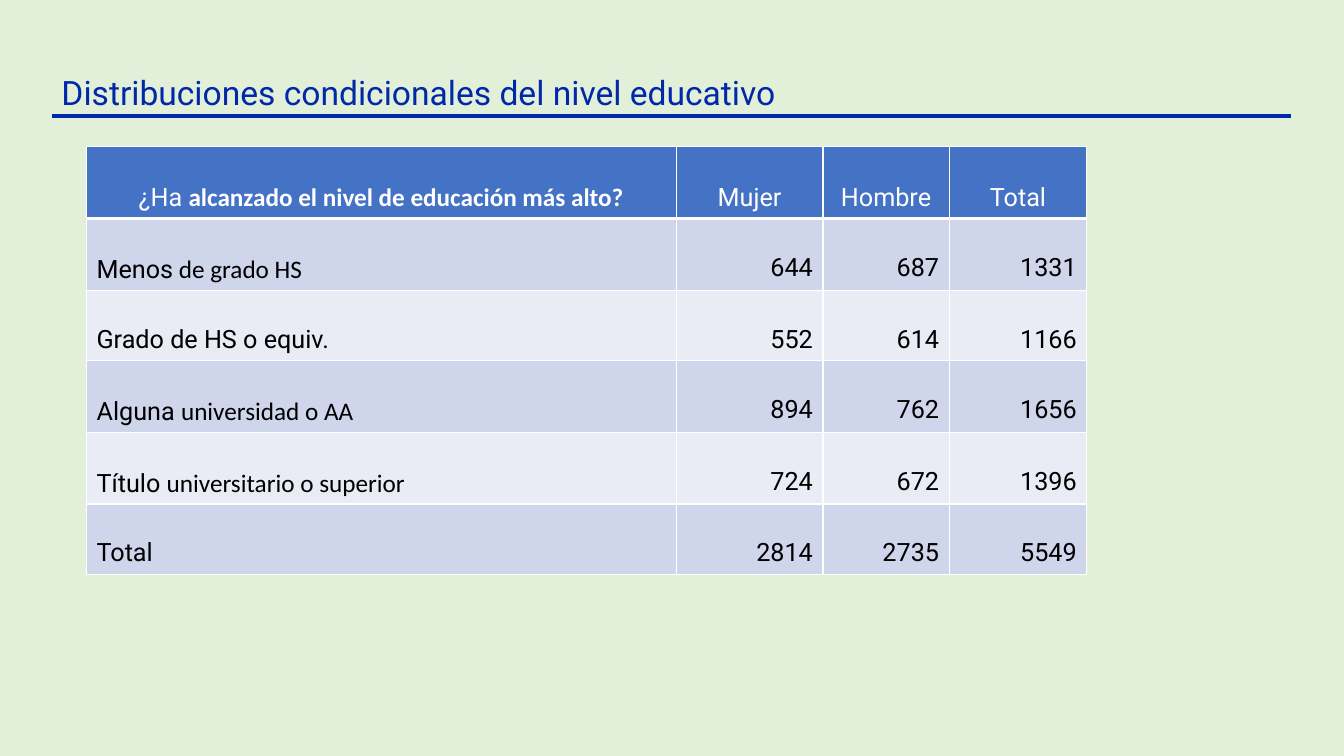
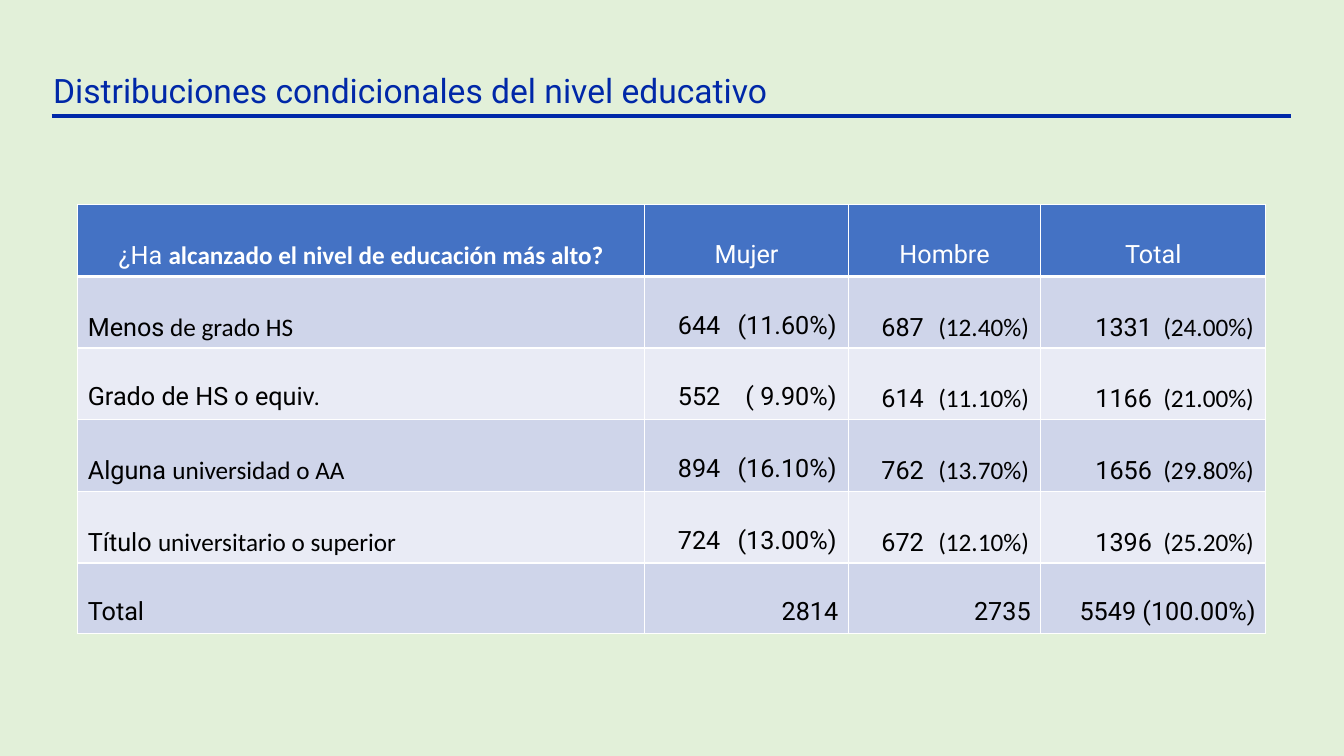
"""Build two slides that compare education levels for women and men."""
from lxml import etree
from pptx import Presentation
from pptx.dml.color import RGBColor
from pptx.enum.shapes import MSO_CONNECTOR
from pptx.enum.text import MSO_ANCHOR, MSO_AUTO_SIZE, PP_ALIGN
from pptx.oxml.ns import qn
from pptx.util import Cm, Pt

LINE = MSO_CONNECTOR.STRAIGHT
MIDDLE, TOP = MSO_ANCHOR.MIDDLE, MSO_ANCHOR.TOP
GROW = MSO_AUTO_SIZE.SHAPE_TO_FIT_TEXT
LEFT, CENTER, RIGHT = PP_ALIGN.LEFT, PP_ALIGN.CENTER, PP_ALIGN.RIGHT

PAGE, NAVY, BLUE = "E2F0D9", "0028A8", "4472C4"
BANDS = ["E9EBF5", "CFD5EA"]
WHITE, BLACK = "FFFFFF", "000000"
MAIN, ALT = "Roboto", "Calibri"
ROW = 1.78
INSET = 0.55
STOPS = [0, 1.65, 1.65, 2.55]

TITLE = "Distribuciones condicionales del nivel educativo"
# A bar marks where a cell changes to the second font.
HEAD = ["¿Ha |alcanzado el nivel de educación más alto?",
        "Mujer", "Hombre", "Total"]
COUNTS = [
    ["Menos| de grado HS", "644", "687", "1331"],
    ["Grado de HS o equiv.", "552", "614", "1166"],
    ["Alguna |universidad o AA", "894", "762", "1656"],
    ["Título |universitario o superior", "724", "672", "1396"],
    ["Total", "2814", "2735", "5549"],
]
SHARES = [
    ["(11.60%)", "|(12.40%)", "|(24.00%)"],
    ["( 9.90%)", "|(11.10%)", "|(21.00%)"],
    ["(16.10%)", "|(13.70%)", "|(29.80%)"],
    ["(13.00%)", "|(12.10%)", "|(25.20%)"],
]


def color(code):
    """Turn a hex string into a colour."""
    return RGBColor.from_string(code)


def style(run, font, size, code, bold=False):
    """Format one run."""
    run.font.name, run.font.size, run.font.bold = font, Pt(size), bold
    run.font.color.rgb = color(code)


def add_title(slide, left, top):
    """Add the title and the rule below it."""
    box = slide.shapes.add_textbox(Cm(left), Cm(top), Cm(20.8), Cm(1.27))
    frame = box.text_frame
    frame.word_wrap, frame.auto_size = True, GROW
    frame.text = TITLE
    style(frame.paragraphs[0].runs[0], MAIN, 24, NAVY)
    rule = slide.shapes.add_connector(
        LINE, Cm(1.3), Cm(2.92), Cm(32.54), Cm(2.92))
    rule.line.color.rgb, rule.line.width = color(NAVY), Pt(3)
    etree.SubElement(rule._element.spPr, qn("a:effectLst"))


def add_edges(cell, row):
    """Draw white cell borders, thick between header and body."""
    props = cell._tc.get_or_add_tcPr()
    thick = {"T": row == 1, "B": row == 0}
    for side in "LRTB":
        width = Pt(3 if thick.get(side) else 1)
        edge = etree.SubElement(props, qn(f"a:ln{side}"), w=str(width))
        fill = etree.SubElement(edge, qn("a:solidFill"))
        etree.SubElement(fill, qn("a:srgbClr"), val=WHITE)


def add_tabs(para, stops):
    """Give a paragraph right-aligned tab stops."""
    tabs = etree.SubElement(para._p.get_or_add_pPr(), qn("a:tabLst"))
    for stop in stops:
        etree.SubElement(tabs, qn("a:tab"), pos=str(int(stop)), algn="r")


def fill_cell(cell, text, row, col, width):
    """Fill one cell with its colours, borders and text."""
    head = row == 0
    add_edges(cell, row)
    cell.fill.solid()
    cell.fill.fore_color.rgb = color(BLUE if head else BANDS[row % 2])
    cell.vertical_anchor = MIDDLE if head and col else TOP
    para = cell.text_frame.paragraphs[0]
    if "\t" in text:
        add_tabs(para, [Cm(STOPS[col]), Cm(width - INSET)])
    plain = LEFT if col == 0 or "\t" in text else RIGHT
    para.alignment = CENTER if head else plain
    para.line_spacing = 2.0
    for part, font in zip(text.split("|"), [MAIN, ALT]):
        run = para.add_run()
        run.text = part
        style(run, font, 18, WHITE if head else BLACK, head and font == ALT)


def add_grid(slide, left, top, widths, rows):
    """Add a table with a header and banded rows."""
    grid = slide.shapes.add_table(
        len(rows), len(widths), Cm(left), Cm(top),
        Cm(sum(widths)), Cm(ROW * len(rows))).table
    for col, width in enumerate(widths):
        grid.columns[col].width = Cm(width)
    for row, texts in enumerate(rows):
        grid.rows[row].height = Cm(ROW)
        for col, text in enumerate(texts):
            fill_cell(grid.cell(row, col), text, row, col, widths[col])


def join_shares():
    """Put each share beside its count."""
    rows = [[name] + [f"\t{count}\t{share}"
                      for count, share in zip(counts, shares)]
            for (name, *counts), shares in zip(COUNTS, SHARES)]
    *sums, total = COUNTS[-1]
    return rows + [[*sums, f"{total} (100.00%)"]]


def main():
    """Build and save the deck."""
    deck = Presentation()
    deck.slide_width, deck.slide_height = Cm(33.87), Cm(19.05)
    back = deck.slide_master.background.fill
    back.solid()
    back.fore_color.rgb = color(PAGE)
    pages = [
        ((1.3, 1.68), (2.18, 3.7), [14.86, 3.7, 3.18, 3.47], COUNTS),
        ((1.09, 1.64), (1.96, 5.16), [14.29, 5.13, 4.85, 5.67],
         join_shares()),
    ]
    for title, place, widths, rows in pages:
        slide = deck.slides.add_slide(deck.slide_layouts[6])
        add_grid(slide, *place, widths, [HEAD] + rows)
        add_title(slide, *title)
    deck.save("out.pptx")


if __name__ == "__main__":
    main()
